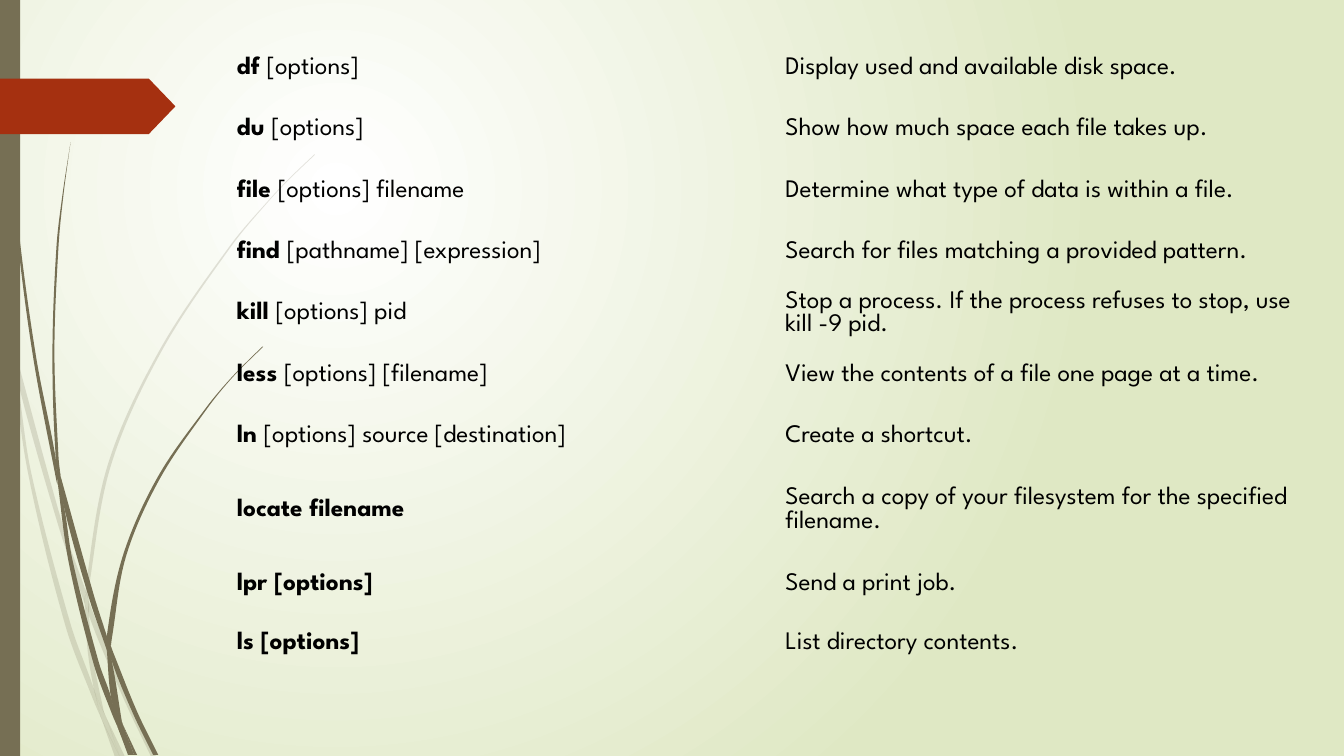
from dataclasses import dataclass
from math import dist

from lxml.etree import SubElement
from pptx import Presentation
from pptx.dml.color import RGBColor
from pptx.enum.shapes import MSO_SHAPE
from pptx.enum.text import MSO_ANCHOR
from pptx.oxml.ns import qn
from pptx.util import Inches, Pt

Point = tuple[float, float]

WIDTH, HEIGHT = 13.33, 7.5
OLIVE, RED, BLACK = "766F54", "A53010", "000000"
FONT = "League Spartan"
NO_STYLE_NO_GRID = "{2D5ABB26-0587-4C30-8999-92F81FD0307C}"
TABLE_LEFT, TABLE_TOP, COLUMN_WIDTH = 2.25, 0.37, 5.44


@dataclass
class Blade:
    """A piece of a grass blade between two edges, both listed downwards, in inches."""
    left: list[Point]
    right: list[Point]


@dataclass
class Command:
    """One table row: bold command, plain arguments, description, row height."""
    name: str
    arguments: str
    description: str
    height: float = 0.61


PALE_BLADES = [
    Blade([(0, 2.99), (0.1, 3.44), (0.11, 3.5)], [(0, 2.82), (0.09, 3.22), (0.11, 3.5)]),
    Blade([(0.14, 3.45), (0.17, 3.76), (0.58, 5.22), (0.84, 5.99)],
          [(0.14, 3.45), (0.62, 5.2), (0.85, 5.86)]),
    Blade([(0.88, 5.96), (0.88, 6.1), (1.23, 6.94), (1.5, 7.51)],
          [(0.88, 5.96), (0.92, 6.07), (1.27, 6.92), (1.55, 7.51)]),
    Blade([(1.05, 7.11), (1.19, 7.51)], [(1.05, 7.11), (1.24, 7.51)]),
    Blade([(0.11, 3.5), (0.28, 4.7), (0.65, 6.21), (0.92, 6.93), (1.01, 7.14)],
          [(0.11, 3.5), (0.17, 3.76), (0.31, 4.69), (0.7, 6.19), (0.93, 6.83), (0.99, 7.07),
           (1.01, 7.14)]),
    Blade([(0.84, 5.99), (0.87, 6.46), (0.93, 6.83), (0.96, 6.92), (1.05, 7.11)],
          [(0.84, 5.99), (0.88, 6.1), (0.91, 6.46), (1.03, 7.06), (1.05, 7.11)]),
    Blade([(3.12, 1.53), (2.89, 1.75), (2.68, 1.97), (2.28, 2.44), (1.58, 3.48), (1.07, 4.61),
           (0.85, 5.84), (0.88, 5.96)],
          [(3.12, 1.54), (2.9, 1.75), (2.68, 1.98), (2.29, 2.45), (1.6, 3.49), (1.1, 4.62),
           (0.88, 5.84), (0.88, 5.96)]),
    Blade([(1.01, 7.14), (1.14, 7.51)], [(1.01, 7.14), (1.19, 7.51)]),
    Blade([(0.85, 5.86), (0.84, 5.99), (0.88, 6.08)], [(0.85, 5.86), (0.88, 5.96), (0.88, 6.1)]),
    Blade([(0.93, 6.83), (0.99, 7.07), (1.01, 7.14), (1.19, 7.51)],
          [(0.93, 6.83), (0.96, 6.92), (1.05, 7.11), (1.19, 7.51)]),
]
DARK_BLADES = [
    Blade([(0.03, 0), (0.04, 0.48), (0.07, 1.1), (0.17, 2.33), (0.33, 3.55), (0.56, 4.77),
           (0.57, 4.81)],
          [(0.04, 0), (0.05, 0.48), (0.08, 1.09), (0.19, 2.32), (0.36, 3.55), (0.55, 4.53),
           (0.57, 4.81)]),
    Blade([(0.6, 4.72), (0.64, 5.05), (0.88, 5.92), (1.06, 6.45)],
          [(0.6, 4.72), (0.93, 5.9), (1.06, 6.31)]),
    Blade([(1.1, 6.41), (1.11, 6.56), (1.32, 7.08), (1.52, 7.49)],
          [(1.1, 6.41), (1.13, 6.49), (1.36, 7.06), (1.57, 7.49)]),
    Blade([(0.57, 4.77), (0.68, 5.57), (0.93, 6.59), (1.11, 7.08), (1.17, 7.22)],
          [(0.57, 4.77), (0.64, 5.05), (0.72, 5.56), (0.98, 6.57), (1.1, 6.91), (1.17, 7.22)]),
    Blade([(0.7, 1.41), (0.62, 1.93), (0.56, 2.45), (0.52, 3.49), (0.55, 4.49), (0.6, 4.72)],
          [(0.7, 1.41), (0.63, 1.93), (0.58, 2.45), (0.54, 3.49), (0.58, 4.53), (0.6, 4.72)]),
    Blade([(1.22, 7.19), (1.33, 7.49)], [(1.22, 7.19), (1.36, 7.49)]),
    Blade([(0.55, 4.49), (0.57, 4.77), (0.64, 5.05)], [(0.55, 4.49), (0.6, 4.72), (0.64, 5.05)]),
    Blade([(2.6, 3.44), (2.31, 3.73), (2.04, 4.05), (1.56, 4.74), (1.22, 5.51), (1.06, 6.31),
           (1.1, 6.41)],
          [(2.61, 3.44), (2.31, 3.74), (2.05, 4.06), (1.58, 4.76), (1.25, 5.52), (1.11, 6.33),
           (1.1, 6.41)]),
    Blade([(1.17, 7.22), (1.27, 7.49)], [(1.17, 7.22), (1.31, 7.49)]),
    Blade([(1.06, 6.45), (1.1, 6.91), (1.16, 7.06), (1.22, 7.19)],
          [(1.06, 6.45), (1.11, 6.56), (1.21, 7.16), (1.22, 7.19)]),
    Blade([(1.06, 6.31), (1.06, 6.45), (1.11, 6.56)], [(1.06, 6.31), (1.1, 6.41), (1.11, 6.56)]),
    Blade([(1.1, 6.91), (1.17, 7.22), (1.3, 7.49)], [(1.1, 6.91), (1.22, 7.19), (1.33, 7.49)]),
]

COMMANDS = [
    Command("df ", "[options]", "Display used and available disk space."),
    Command("du ", "[options]", "Show how much space each file takes up."),
    Command("file ", "[options] filename", "Determine what type of data is within a file."),
    Command("find ", "[pathname] [expression]", "Search for files matching a provided pattern."),
    Command("kill ", "[options] pid",
            "Stop a process. If the process refuses to stop, use kill -9 pid."),
    Command("less ", "[options] [filename]", "View the contents of a file one page at a time."),
    Command("ln ", "[options] source [destination]", "Create a shortcut.", 0.6),
    Command("locate filename", "",
            "Search a copy of your filesystem for the specified\vfilename.", 0.87),
    Command("lpr [options]", "", "Send a print job.", 0.59),
    Command("ls [options]", "", "List directory contents.", 0.59),
]


def color(value: str) -> RGBColor:
    """Turn a hex string into a colour."""
    return RGBColor.from_string(value)


def paint(shape, fill: str, opacity: int = 100) -> None:
    """Give a shape a flat fill with no line and no shadow."""
    shape.shadow.inherit = False
    shape.line.fill.background()
    shape.fill.solid()
    shape.fill.fore_color.rgb = color(fill)
    if opacity < 100:
        rgb = shape.element.spPr.find(f".//{qn('a:srgbClr')}")
        SubElement(rgb, qn("a:alpha"), val=str(opacity * 1000))


def curve_handles(points: list[Point]) -> list[list[Point]]:
    """Return the two Bezier handles of each segment of a smooth curve through the points."""
    slopes = []
    for index, point in enumerate(points):
        before, after = points[max(index - 1, 0)], points[min(index + 1, len(points) - 1)]
        length = dist(before, point) + dist(point, after)
        slopes.append([(end - start) / length for start, end in zip(before, after)])
    handles = []
    for index, (start, end) in enumerate(zip(points, points[1:])):
        third = dist(start, end) / 3
        handles.append([
            tuple(value + slope * third for value, slope in zip(start, slopes[index])),
            tuple(value - slope * third for value, slope in zip(end, slopes[index + 1]))])
    return handles


def add_blade(slide, blade: Blade, opacity: int) -> None:
    """Draw one piece of a blade as a closed outline with curved edges."""
    upward = blade.right[::-1]
    outline = [(Inches(x), Inches(y)) for x, y in blade.left + upward]
    builder = slide.shapes.build_freeform(*outline[0], scale=1)
    builder.add_line_segments(outline[1:], close=True)
    shape = builder.convert_to_shape()
    segments = curve_handles(blade.left) + [None] + curve_handles(upward)
    lines = list(shape.element.iter(qn("a:lnTo")))
    for line, handles in zip(lines, segments):
        if handles:
            line.tag = qn("a:cubicBezTo")
            end_point = line[0]
            for x, y in handles:
                SubElement(line, qn("a:pt"), x=str(Inches(x) - shape.left),
                           y=str(Inches(y) - shape.top))
            line.append(end_point)
    paint(shape, OLIVE, opacity)


def add_block(slide, kind: MSO_SHAPE, top: float, width: float, height: float, fill: str):
    """Add a flat preset shape at the left edge of the slide."""
    shape = slide.shapes.add_shape(kind, 0, Inches(top), Inches(width), Inches(height))
    paint(shape, fill)
    return shape


def set_background(slide) -> None:
    """Fill the background with a round gradient, white in its centre."""
    fill = slide.background.fill
    fill.gradient()
    for stop, value in zip(fill.gradient_stops, ("FFFFFF", "DFE8C4")):
        stop.color.rgb = color(value)
    gradient = slide.element.find(f".//{qn('a:gradFill')}")
    gradient.remove(gradient.find(qn("a:lin")))
    circle = SubElement(gradient, qn("a:path"), path="circle")
    SubElement(circle, qn("a:fillToRect"), l="50000", t="50000", r="100000", b="100000")


def write_cell(cell, text: str, bold_length: int = 0) -> None:
    """Write text into a clear, vertically centred cell, its first letters in bold."""
    cell.fill.background()
    cell.vertical_anchor = MSO_ANCHOR.MIDDLE
    paragraph = cell.text_frame.paragraphs[0]
    paragraph.text = text[:bold_length]
    for run in paragraph.runs:
        run.font.bold = True
    for index, line in enumerate(text[bold_length:].split("\v")):
        if index:
            paragraph.add_line_break()
        if line:
            paragraph.add_run().text = line
    paragraph.font.size = Pt(18)
    paragraph.font.name = FONT
    paragraph.font.color.rgb = color(BLACK)


def add_command_table(slide) -> None:
    """Add the borderless table of commands and descriptions."""
    frame = slide.shapes.add_table(
        len(COMMANDS), 2, Inches(TABLE_LEFT), Inches(TABLE_TOP), Inches(2 * COLUMN_WIDTH),
        Inches(sum(command.height for command in COMMANDS)))
    table = frame.table
    table.first_row = table.horz_banding = False
    frame.element.find(f".//{qn('a:tableStyleId')}").text = NO_STYLE_NO_GRID
    for row, command in enumerate(COMMANDS):
        table.rows[row].height = Inches(command.height)
        write_cell(table.cell(row, 0), command.name + command.arguments, len(command.name))
        write_cell(table.cell(row, 1), command.description)


presentation = Presentation()
presentation.slide_width, presentation.slide_height = Inches(WIDTH), Inches(HEIGHT)
slide = presentation.slides.add_slide(presentation.slide_layouts[6])
set_background(slide)
for blades, opacity in ((PALE_BLADES, 20), (DARK_BLADES, 100)):
    for blade in blades:
        add_blade(slide, blade, opacity)
add_block(slide, MSO_SHAPE.RECTANGLE, 0, 0.2, HEIGHT, OLIVE)
arrow = add_block(slide, MSO_SHAPE.PENTAGON, 0.78, 1.74, 0.55, RED)
arrow.adjustments[0] = 0.48
add_command_table(slide)
presentation.save("out.pptx")
